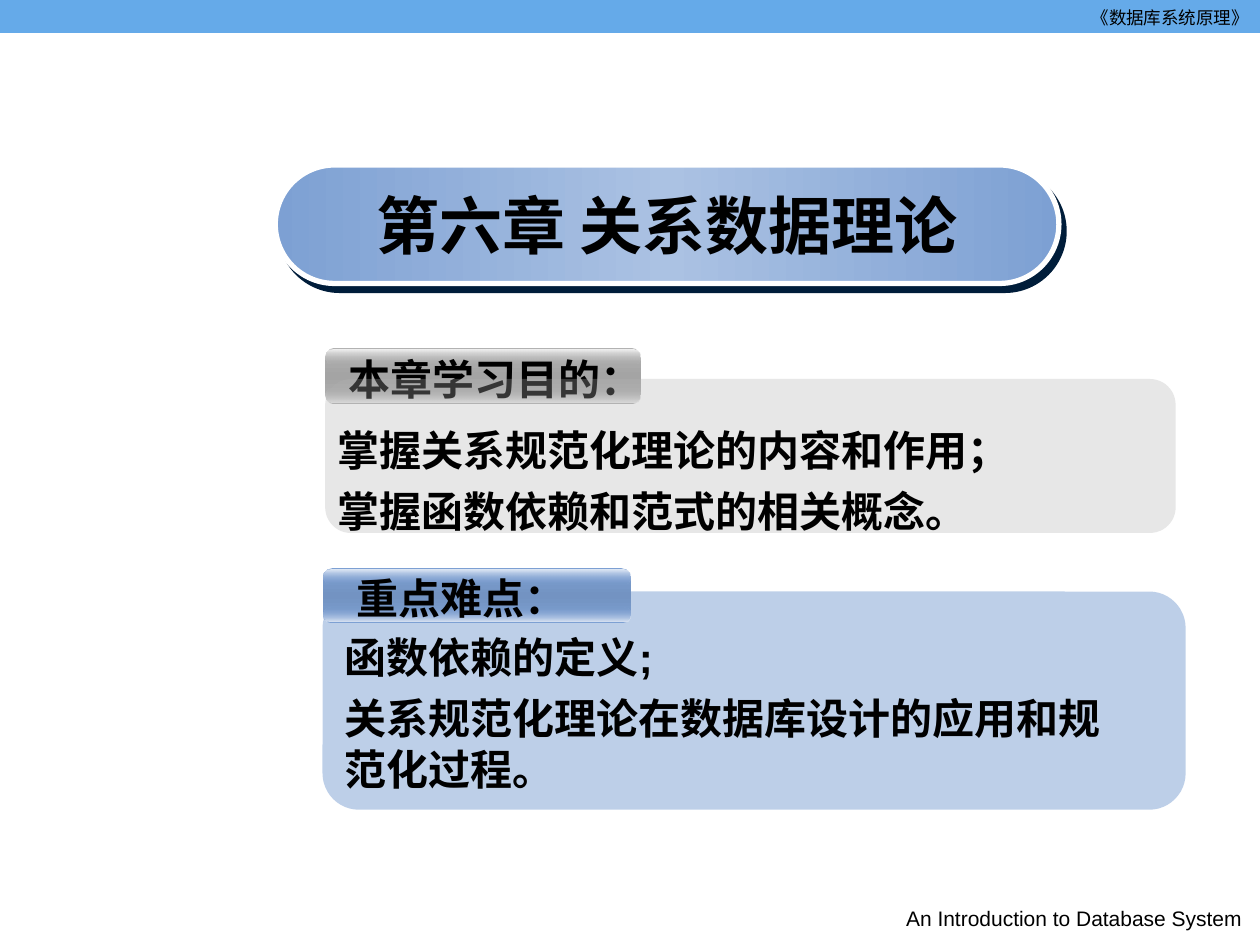
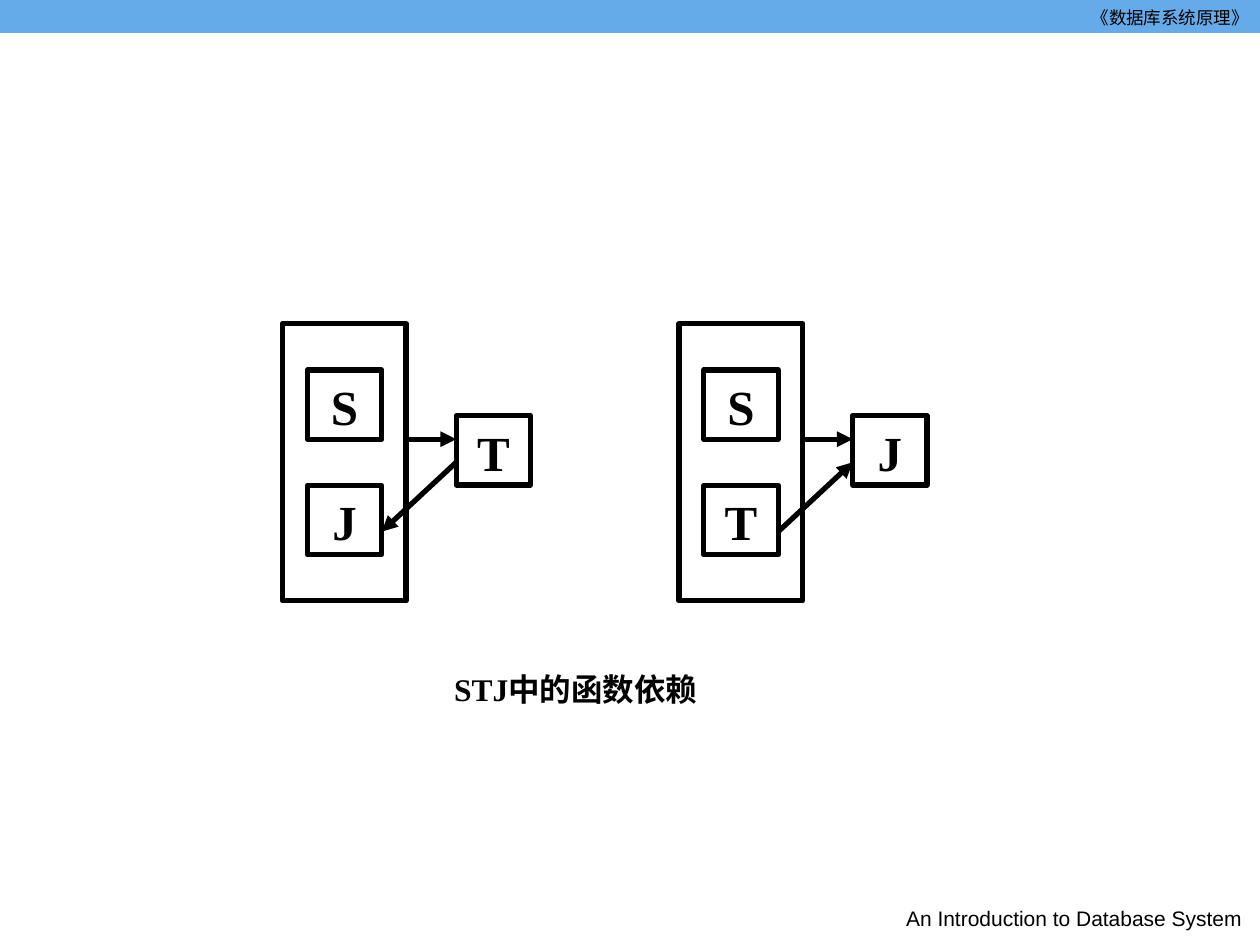
from dataclasses import dataclass

from lxml.etree import SubElement
from pptx import Presentation
from pptx.dml.color import RGBColor
from pptx.enum.shapes import MSO_CONNECTOR as Connector, MSO_SHAPE as Shape
from pptx.enum.text import MSO_ANCHOR as Anchor, PP_ALIGN as Align
from pptx.oxml.ns import qn
from pptx.util import Pt

COURSE = "《数据库系统原理》"
FOOTER = "An Introduction to Database System"
CHAPTER = "第六章 关系数据理论"
GOALS = ("本章学习目的：", ["掌握关系规范化理论的内容和作用；", "掌握函数依赖和范式的相关概念。"])
ISSUES = ("重点难点：", ["函数依赖的定义;", "关系规范化理论在数据库设计的应用和规范化过程。"])
CAPTION = "STJ中的函数依赖"
# Two determinants, the attribute they determine, and whether the lower arrow leads back
DEPENDENCIES = [(("S", "J"), "T", True), (("S", "T"), "J", False)]


@dataclass(frozen=True)
class Theme:
    band: str = "65AAE9"
    ink: str = "000000"
    paper: str = "FFFFFF"
    shadow: str = "001D3A"
    blue: str = "7DA0D3"
    blue_centre: str = "ABC2E3"
    blue_deep: str = "7393C2"
    blue_gloss: tuple = ("E6EDF7", "DEE7F4")
    gray: str = "B2B2B2"
    gray_deep: str = "A4A4A4"
    gray_gloss: tuple = ("F3F3F3", "F0F0F0")
    sans: str = "Arial"
    serif: str = "Times New Roman"
    han: str = "Noto Sans CJK SC"
    title: int = 36
    letter: int = 28
    body: int = 24
    caption: int = 18
    footer: int = 12
    header: int = 10
    stroke: int = 3
    han_line: float = 1.21


THEME = Theme()


def points(*lengths):
    return [Pt(length) for length in lengths]


def write(frame, text, size, font=THEME.sans, bold=False, align=Align.LEFT,
          anchor=Anchor.TOP, wrap=True, line=None, gap=0):
    """Fill a text frame; a list gives one paragraph per entry."""
    frame.word_wrap = wrap
    frame.vertical_anchor = anchor
    frame.margin_left = frame.margin_right = Pt(7.2)
    frame.margin_top = frame.margin_bottom = Pt(3.6)
    for index, words in enumerate([text] if isinstance(text, str) else text):
        paragraph = frame.add_paragraph() if index else frame.paragraphs[0]
        paragraph.alignment = align
        paragraph.space_after = Pt(gap)
        if line:
            paragraph.line_spacing = Pt(round(line * size, 1))
        run = paragraph.add_run()
        run.text = words
        run.font.size, run.font.name, run.font.bold = Pt(size), font, bold
        run.font.color.rgb = RGBColor.from_string(THEME.ink)
        SubElement(run.font._element, qn("a:ea"), typeface=THEME.han)


def label(slide, box, text, size, **style):
    write(slide.shapes.add_textbox(*points(*box)).text_frame, text, size, **style)


def set_alpha(colour, percent):
    SubElement(colour, qn("a:alpha"), val=str(percent * 1000))


def add_stops(shape, stops, angle):
    """Gradient from (position, colour, opacity) stops, angle counted anticlockwise."""
    shape.fill.gradient()
    shape.fill.gradient_angle = angle
    stop_list = shape._element.spPr.find(".//" + qn("a:gsLst"))
    stop_list.clear()
    for position, colour, opacity in stops:
        stop = SubElement(stop_list, qn("a:gs"), pos=str(position * 1000))
        set_alpha(SubElement(stop, qn("a:srgbClr"), val=colour), opacity)


def block(slide, box, kind=Shape.RECTANGLE, radius=None, fill=None, opacity=100,
          stops=None, angle=270, stroke=None):
    shape = slide.shapes.add_shape(kind, *points(*box))
    shape.shadow.inherit = False
    if radius is not None:
        shape.adjustments[0] = radius
    if stops:
        add_stops(shape, stops, angle)
    elif fill:
        shape.fill.solid()
        shape.fill.fore_color.rgb = RGBColor.from_string(fill)
        if opacity < 100:
            set_alpha(shape._element.spPr.find(".//" + qn("a:srgbClr")), opacity)
    else:
        shape.fill.background()
    if stroke:
        shape.line.color.rgb = RGBColor.from_string(stroke)
        shape.line.width = Pt(THEME.stroke)
    else:
        shape.line.fill.background()
    return shape


def rounded(slide, box, radius, **look):
    return block(slide, box, kind=Shape.ROUNDED_RECTANGLE, radius=radius, **look)


def arrow(slide, start, end):
    connector = slide.shapes.add_connector(Connector.STRAIGHT, *points(*start, *end))
    connector.line.color.rgb = RGBColor.from_string(THEME.ink)
    connector.line.width = Pt(THEME.stroke)
    SubElement(connector.line._get_or_add_ln(), qn("a:tailEnd"), type="triangle")
    SubElement(connector._element.spPr, qn("a:effectLst"))


def new_slide(deck):
    slide = deck.slides.add_slide(deck.slide_layouts[6])
    block(slide, (0, 0, 720, 18.8), fill=THEME.band)
    label(slide, (468, 0.5, 252.5, 18), COURSE, THEME.header, align=Align.RIGHT,
          line=THEME.han_line)
    label(slide, (507.6, 514, 212.4, 25), FOOTER, THEME.footer, align=Align.CENTER)
    return slide


def add_chapter_title(slide):
    stops = [(0, THEME.blue, 100), (50, THEME.blue_centre, 100), (100, THEME.blue, 100)]
    pill = rounded(slide, (157.3, 94.3, 447.8, 67.7), 0.5, stops=stops, angle=0,
                   stroke=THEME.paper)
    effects = pill._element.spPr.find(qn("a:effectLst"))
    shadow = SubElement(effects, qn("a:outerShdw"), dist=str(Pt(5)),
                        dir=str(53 * 60000), algn="ctr", rotWithShape="0")
    SubElement(shadow, qn("a:srgbClr"), val=THEME.shadow)
    write(pill.text_frame, CHAPTER, THEME.title, font=THEME.han, bold=True,
          align=Align.CENTER, anchor=Anchor.MIDDLE, wrap=False)


def add_tab(slide, box, heading, heading_at, colour, deep, gloss):
    """Glossy tab: a base, a light strip at the bottom and one at the top, then its heading."""
    left, top, width, height = box
    upper, lower = gloss
    rounded(slide, box, 0.175,
            stops=[(0, colour, 100), (50, deep, 100), (100, colour, 100)])
    strips = [(top + height - 9, [(0, colour, 0), (100, lower, 100)]),
              (top + 1, [(0, upper, 100), (100, colour, 0)])]
    for strip_top, stops in strips:
        rounded(slide, (left + 0.4, strip_top, width - 0.8, 8), 0.5, stops=stops)
    label(slide, (*heading_at, 190, 36), heading, THEME.body, bold=True, wrap=False,
          line=THEME.han_line)


def add_panel(slide, box, colour, opacity, lines, lines_box):
    rounded(slide, box, 0.167, fill=colour, opacity=opacity)
    label(slide, lines_box, lines, THEME.body, bold=True, line=THEME.han_line, gap=6)


def build_chapter(deck):
    slide = new_slide(deck)
    add_chapter_title(slide)
    heading, lines = GOALS
    add_tab(slide, (185.8, 198.7, 180.4, 32.4), heading, (192, 198.3),
            THEME.gray, THEME.gray_deep, THEME.gray_gloss)
    add_panel(slide, (185.8, 216.6, 486, 88), THEME.gray, 30, lines,
              (185.8, 238.8, 466.6, 71))
    heading, lines = ISSUES
    add_panel(slide, (184.3, 338, 493.2, 124.7), THEME.blue, 50, lines,
              (190, 357, 461.5, 100))
    add_tab(slide, (184.3, 324.7, 176.4, 31.5), heading, (196.5, 323.4),
            THEME.blue, THEME.blue_deep, THEME.blue_gloss)


def add_dependency(slide, left, top, determinants, target, leads_back):
    box_width, box_height, inset = 42.5, 39.6, 14.2
    frame_width, frame_height = 70.7, 158.4
    target_left = left + 99.3
    block(slide, (left, top, frame_width, frame_height), stroke=THEME.ink)
    row_gap = (frame_height - 2 * box_height) / 3
    places = [(left + inset, top + row_gap + row * (box_height + row_gap), letter)
              for row, letter in enumerate(determinants)]
    places.append((target_left, top + 52.6, target))
    for box_left, box_top, letter in places:
        square = block(slide, (box_left, box_top, box_width, box_height), stroke=THEME.ink)
        write(square.text_frame, letter, THEME.letter, font=THEME.serif, bold=True,
              align=Align.CENTER)
    arrow(slide, (left + frame_width, top + 66), (target_left, top + 66))
    ends = [(left + inset + box_width, top + 118.8), (target_left, top + 79.2)]
    arrow(slide, *(reversed(ends) if leads_back else ends))


def build_dependencies(deck):
    slide = new_slide(deck)
    for index, dependency in enumerate(DEPENDENCIES):
        add_dependency(slide, 161.4 + index * 226.6, 185, *dependency)
    label(slide, (247, 379, 164, 39.6), CAPTION, THEME.caption, font=THEME.serif,
          bold=True, align=Align.CENTER, line=THEME.han_line)


def main():
    deck = Presentation()
    deck.slide_width, deck.slide_height = points(720, 540)
    build_chapter(deck)
    build_dependencies(deck)
    deck.save("out.pptx")


if __name__ == "__main__":
    main()
